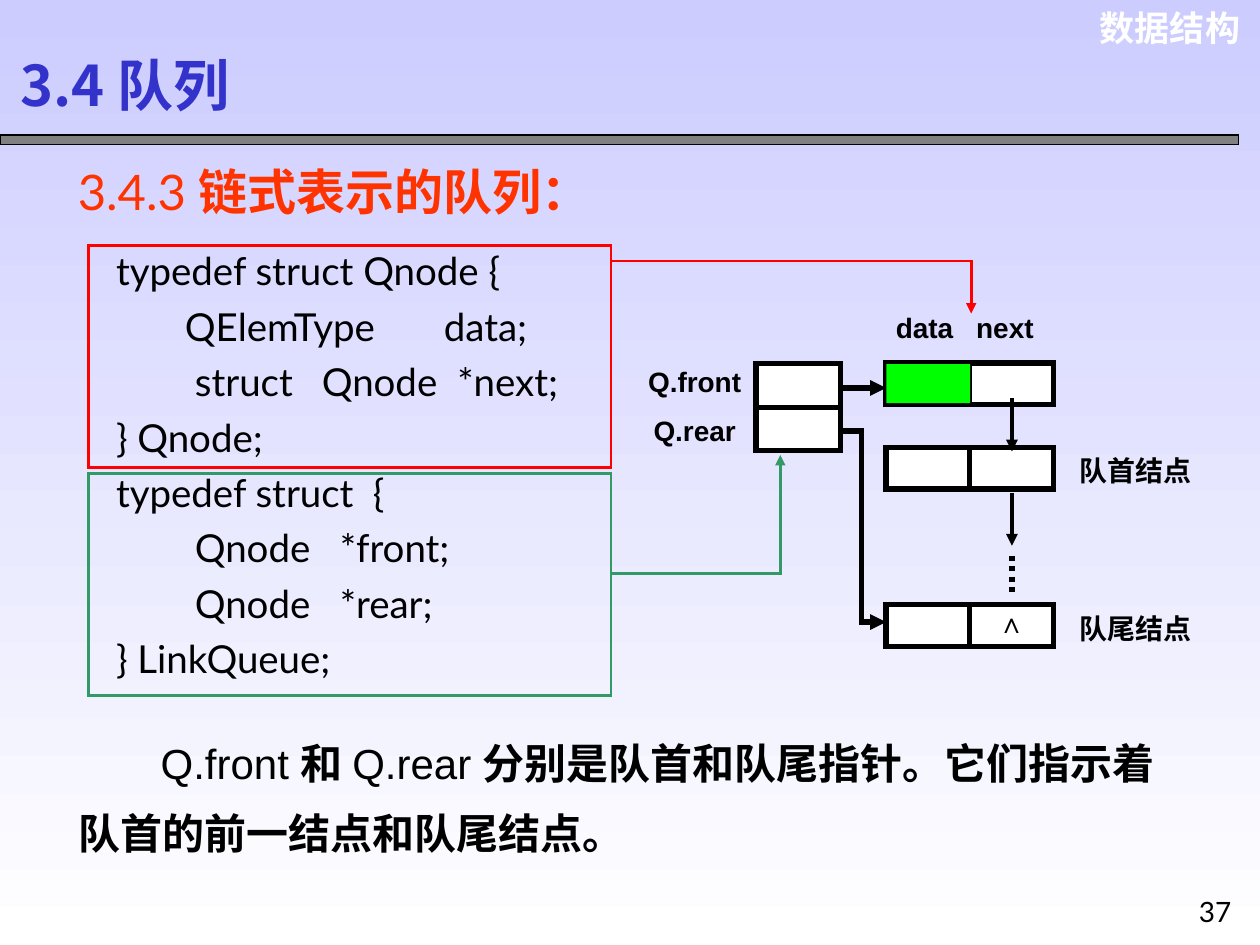
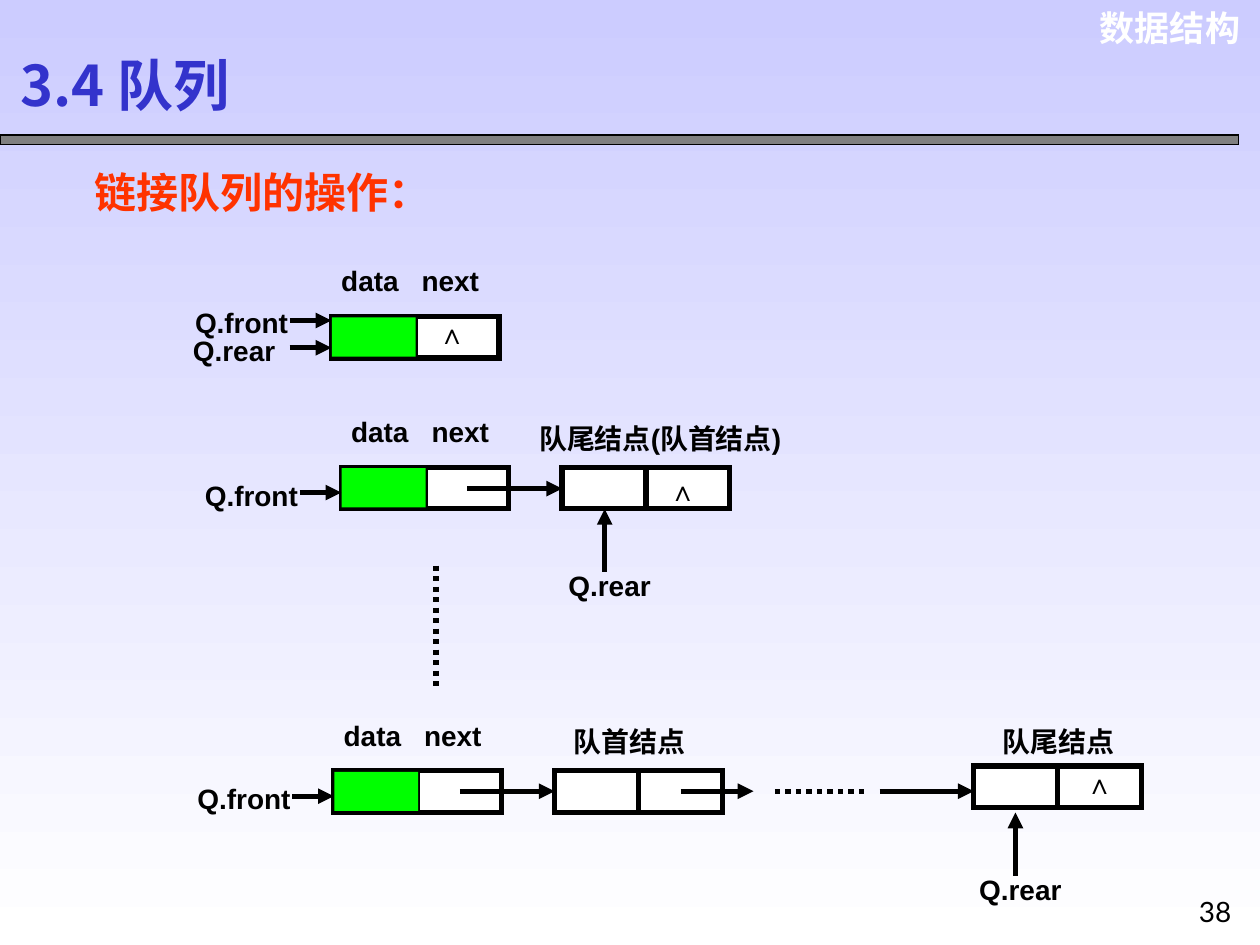
from lxml.etree import SubElement
from pptx import Presentation
from pptx.dml.color import RGBColor
from pptx.enum.dml import MSO_LINE_DASH_STYLE as Dash
from pptx.enum.shapes import MSO_CONNECTOR_TYPE as Connector, MSO_SHAPE as Shape
from pptx.enum.text import MSO_ANCHOR as Anchor, PP_ALIGN as Align
from pptx.oxml.ns import qn
from pptx.util import Cm, Pt

BLACK = RGBColor(0x00, 0x00, 0x00)
WHITE = RGBColor(0xFF, 0xFF, 0xFF)
GREY = RGBColor(0x80, 0x80, 0x80)
LAVENDER = RGBColor(0xCC, 0xCC, 0xFF)
BLUE = RGBColor(0x33, 0x33, 0xCC)
ORANGE = RGBColor(0xFF, 0x33, 0x00)
RED = RGBColor(0xFF, 0x00, 0x00)
TEAL = RGBColor(0x33, 0x99, 0x66)
GREEN = RGBColor(0x00, 0xFF, 0x00)

LABEL = {"name": "Arial", "size": Pt(16), "bold": True}
HEADING = {"name": "Arial", "size": Pt(28), "bold": True, "color": ORANGE}
CODE = {"name": "Lato", "size": Pt(22)}
BODY = {"name": "Arial", "size": Pt(24)}

# Measures of a list node, in centimetres
NODE_WIDTH, NODE_HEIGHT, HALF = 3.38, 0.84, 1.69
NEXT_X = 2.54
LABEL_HEIGHT = 0.94
LABEL_PAD = 0.38


class QueueDeck:
    def __init__(self):
        self.presentation = Presentation()
        self.presentation.slide_width = Cm(25.4)
        self.presentation.slide_height = Cm(19.05)
        self.slide = None

    # Basic elements
    def text(self, box, paragraphs, font, align=Align.LEFT, anchor=Anchor.TOP,
             wrap=True, spacing=None, indent=0, pad=0.25):
        """Each paragraph is (runs, tab stops); a run is (text, font changes)."""
        if isinstance(paragraphs, str):
            paragraphs = [([(paragraphs, {})], [])]
        frame = self.slide.shapes.add_textbox(*map(Cm, box)).text_frame
        settings = {"word_wrap": wrap, "vertical_anchor": anchor,
                    "margin_left": Cm(pad), "margin_right": Cm(0.25),
                    "margin_top": Cm(0.13), "margin_bottom": Cm(0.13)}
        for name, value in settings.items():
            setattr(frame, name, value)
        for index, (runs, tabs) in enumerate(paragraphs):
            paragraph = frame.paragraphs[0] if index == 0 else frame.add_paragraph()
            paragraph.alignment = align
            if spacing:
                paragraph.line_spacing = spacing
            properties = paragraph._p.get_or_add_pPr()
            if indent:
                properties.set("marL", "0")
                properties.set("indent", str(Cm(indent)))
            if tabs:
                tab_list = SubElement(properties, qn("a:tabLst"))
                for stop in tabs:
                    SubElement(tab_list, qn("a:tab"), pos=str(Cm(stop)), algn="l")
            for words, changes in runs:
                run = paragraph.add_run()
                run.text = words
                values = {"color": BLACK, **font, **changes}
                run.font.color.rgb = values.pop("color")
                for name, value in values.items():
                    setattr(run.font, name, value)

    def rectangle(self, box, fill=None, line=None, width=3):
        shape = self.slide.shapes.add_shape(Shape.RECTANGLE, *map(Cm, box))
        shape.shadow.inherit = False
        for part, color in ((shape.fill, fill), (shape.line.fill, line)):
            if color is None:
                part.background()
            else:
                part.solid()
                part.fore_color.rgb = color
        if line is not None:
            shape.line.width = Pt(width)
            outline = shape._element.spPr.find(qn("a:ln"))
            SubElement(outline, qn("a:miter"), lim="800000")

    def line(self, start, end, color=BLACK, width=3, dash=None, arrow=False, cap=None):
        connector = self.slide.shapes.add_connector(
            Connector.STRAIGHT, *map(Cm, (*start, *end)))
        connector.line.color.rgb = color
        connector.line.width = Pt(width)
        if dash:
            connector.line.dash_style = dash
        properties = connector._element.spPr
        outline = properties.find(qn("a:ln"))
        if cap:
            outline.set("cap", cap)
        if arrow:
            SubElement(outline, qn("a:tailEnd"), type="triangle")
        SubElement(properties, qn("a:effectLst"))

    def arrow(self, start, end, width=3):
        self.line(start, end, width=width, arrow=True)

    def dots(self, start, end):
        self.line(start, end, dash=Dash.ROUND_DOT)

    def bent_arrow(self, points, color=BLACK, width=3):
        *legs, last = zip(points, points[1:])
        for start, end in legs:
            self.line(start, end, color, width, cap="sq")
        self.line(*last, color, width, arrow=True)

    def label(self, left, top, words, width=2.74, **options):
        self.text((left, top, width, LABEL_HEIGHT), words, LABEL, **options)

    # Parts of a linked queue
    def node(self, left, top):
        self.rectangle((left, top, NODE_WIDTH, NODE_HEIGHT), WHITE, BLACK)
        self.line((left + HALF, top), (left + HALF, top + NODE_HEIGHT))

    def head_node(self, left, top):
        self.node(left, top)
        self.rectangle((left + 0.01, top + 0.02, HALF, 0.79), GREEN)
        self.label(left - 0.18, top - 1.19, [([("data\tnext", {})], [1.62])],
                   3.61, pad=LABEL_PAD)

    def null_mark(self, center, top):
        self.label(center - 0.64, top, "∧", 1.27, align=Align.CENTER)

    def side_pointer(self, name, tip_x, y, shift=0):
        self.label(tip_x - 3.18 - shift, y - 0.42, name, align=Align.CENTER)
        self.arrow((tip_x - 0.84, y), (tip_x, y))

    def rear_pointer(self, x, tip_y):
        self.arrow((x, tip_y + 1.27), (x, tip_y))
        self.label(x - 1.27, tip_y + 1.07, "Q.rear", align=Align.CENTER)

    # Shared frame of every slide
    def start_slide(self, number):
        self.slide = self.presentation.slides.add_slide(
            self.presentation.slide_layouts[6])
        fill = self.slide.background.fill
        fill.gradient()
        fill.gradient_angle = 270
        for stop, color, position in zip(fill.gradient_stops, (LAVENDER, WHITE), (0, 1)):
            stop.color.rgb = color
            stop.position = position
        self.text((21.77, 0, 3.48, 1.12), "数据结构",
                  {**LABEL, "size": Pt(20), "color": WHITE}, align=Align.RIGHT)
        self.rectangle((0, 2.72, 24.97, 0.2), GREY, BLACK, 0.75)
        self.text((0.16, 0.76, 9.07, 1.88), "3.4 队列",
                  {"name": "Noto Sans CJK SC", "size": Pt(32), "bold": True,
                   "color": BLUE}, anchor=Anchor.MIDDLE)
        self.text((23.92, 17.91, 1.27, 1.07), str(number),
                  {"name": "Lato", "size": Pt(16)})


def linked_queue_slide(deck):
    deck.start_slide(37)
    plain = {"name": "Lato", "bold": False}
    deck.text((1.32, 3.12, 11.1, 1.45),
              [([("3.4.3 ", plain), ("链式表示的队列：", {})], [])], HEADING, wrap=False)

    # Type definitions and their frames
    code = [("typedef struct Qnode {", []),
            ("\tQElemType\tdata;", [1.39, 6.61]),
            ("\tstruct\tQnode\t*next;", [1.59, 4.15, 6.88]),
            ("} Qnode;", []),
            ("typedef struct\t{", [5.18]),
            ("\tQnode\t*front;", [1.59, 4.51]),
            ("\tQnode\t*rear;", [1.59, 4.51]),
            ("} LinkQueue;", [])]
    deck.text((2.09, 4.67, 10.31, 9.19),
              [([(words, {})], tabs) for words, tabs in code], CODE, spacing=1.2)
    for top, color in ((4.95, RED), (9.55, TEAL)):
        deck.rectangle((1.78, top, 10.54, 4.47), None, color, 1.5)
    deck.bent_arrow([(12.32, 5.26), (19.58, 5.26), (19.58, 6.32)], RED, 1.5)
    deck.bent_arrow([(12.32, 11.56), (15.73, 11.56), (15.73, 9.17)], TEAL, 1.5)

    # Front and rear pointers
    for top, label_top, name in ((7.33, 7.21, "Q.front"), (8.21, 8.2, "Q.rear")):
        deck.rectangle((15.24, top, 1.7, 0.88), WHITE, BLACK)
        deck.label(12.65, label_top, name, 2.71, align=Align.CENTER)

    # Chain of nodes
    left = 17.86
    next_x = left + NEXT_X
    deck.head_node(left, 7.32)
    for top, name in ((9.02, "队首结点"), (12.19, "队尾结点")):
        deck.node(left, top)
        deck.label(21.39, top, name, 3.33, pad=LABEL_PAD)
    for top in (8.03, 9.93):
        deck.arrow((next_x, top), (next_x, top + 1.07), 2.25)
    deck.dots((next_x, 11.2), (next_x, 12.0))
    deck.null_mark(next_x, 12.07)
    deck.arrow((16.89, 7.82), (left, 7.82))
    deck.bent_arrow([(16.94, 8.69), (17.37, 8.69), (17.37, 12.54), (left, 12.54)])

    # Explanation
    bold = {"bold": True}
    deck.text((1.34, 14.33, 22.68, 3.1),
              [([("Q.front ", {}), ("和 ", bold), ("Q.rear ", {}),
                 ("分别是队首和队尾指针。它们指示着队首的前一结点和队尾结点。", bold)], [])],
              BODY, spacing=1.4, indent=1.65)


def queue_operations_slide(deck):
    deck.start_slide(38)
    deck.text((1.65, 3.23, 7.26, 1.27), "链接队列的操作：",
              {**HEADING, "size": Pt(24)}, wrap=False)

    # Empty queue
    left, top = 6.68, 6.38
    deck.head_node(left, top)
    deck.side_pointer("Q.front", left, 6.46)
    deck.side_pointer("Q.rear", left, 7.01, shift=0.15)
    deck.null_mark(9.12, 6.25)

    # Queue with one element
    left, top, second = 6.88, 9.42, 11.33
    deck.head_node(left, top)
    deck.node(second, top)
    deck.side_pointer("Q.front", left, top + 0.51)
    deck.arrow((left + NEXT_X, top + 0.43), (second, top + 0.43))
    deck.label(10.49, 8.36, "队尾结点(队首结点)", 7, pad=LABEL_PAD)
    deck.null_mark(13.77, top)
    deck.rear_pointer(12.19, 10.26)
    deck.dots((8.79, 11.4), (8.79, 13.94))

    # Queue with many elements
    left, top, second, last = 6.73, 15.54, 11.18, 19.63
    middle = 15.95
    deck.head_node(left, top)
    deck.node(second, top)
    deck.node(last, top - 0.1)
    deck.side_pointer("Q.front", left, top + 0.51)
    for start, end in ((left + NEXT_X, second), (second + NEXT_X, 15.19), (17.73, last)):
        deck.arrow((start, middle), (end, middle))
    deck.dots((15.62, middle), (17.45, middle))
    for x, name in ((second, "队首结点"), (19.84, "队尾结点")):
        deck.label(x, 14.48, name, 3.61, pad=LABEL_PAD)
    deck.null_mark(22.17, 15.32)
    deck.rear_pointer(20.47, 16.38)


def main():
    deck = QueueDeck()
    linked_queue_slide(deck)
    queue_operations_slide(deck)
    deck.presentation.save("out.pptx")


if __name__ == "__main__":
    main()
